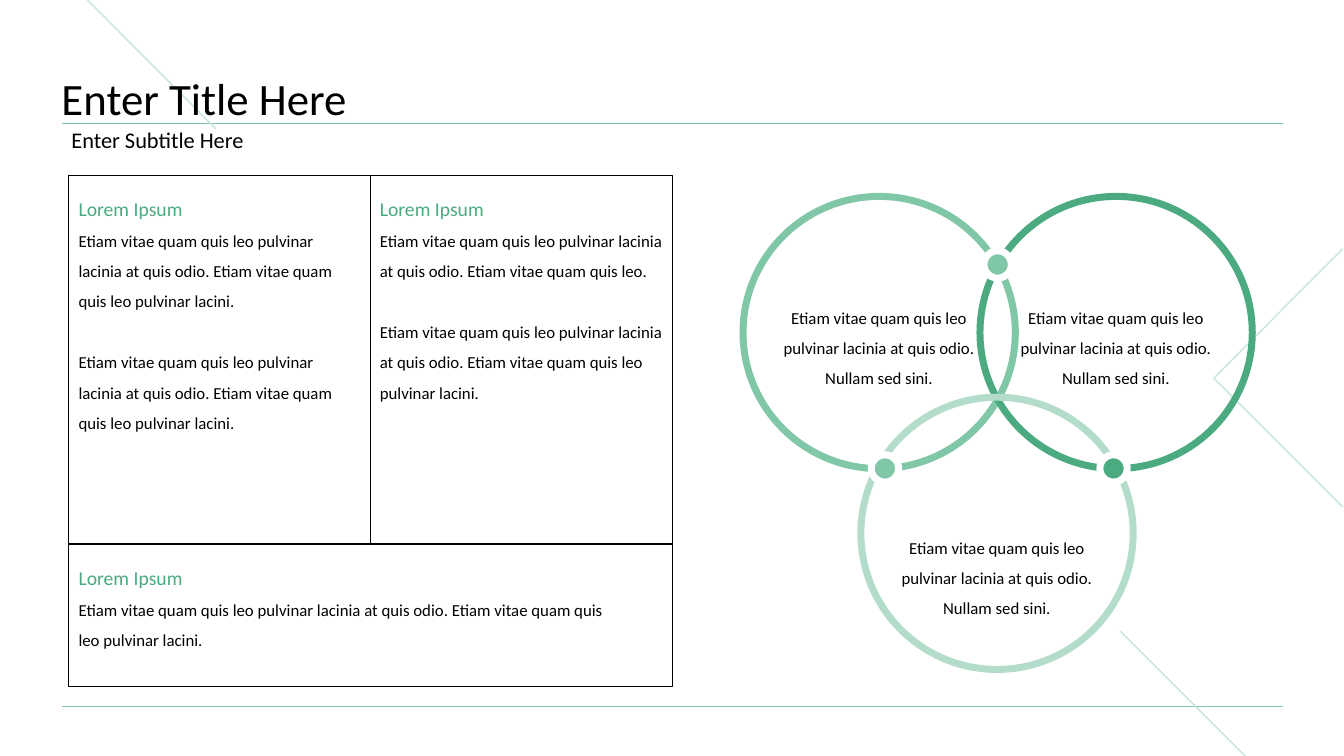
from lxml import etree
from pptx import Presentation, util as u
from pptx.dml.color import RGBColor
from pptx.enum import shapes, text
from pptx.oxml import ns

COLORS = {
    "black": "000000", "white": "FFFFFF", "dark": "4BAA7F",
    "medium": "80C7A7", "light": "B3DDCA", "pale": "C6E6D7",
}
FONT = "Calibri"
HEADING = "Lorem Ipsum"
SENTENCE = "Etiam vitae quam quis leo pulvinar lacinia at quis odio. "
LONG = SENTENCE + "Etiam vitae quam quis leo pulvinar lacini."
SHORT = SENTENCE + "Etiam vitae quam quis leo."
CIRCLE_TEXT = SENTENCE + "Nullam sed sini."
BLANK_LINE = 22  # height of one 12 pt line at 1.5 spacing


def color(name):
    return RGBColor.from_string(COLORS[name])


def apply(target, values):
    for name, value in values.items():
        setattr(target, name, value)


def set_line(shape, name, width):
    shape.line.color.rgb = color(name)
    shape.line.width = u.Pt(width)


def add_line(slide, start, end, name, width):
    points = [u.Cm(value) for value in (*start, *end)]
    line = slide.shapes.add_connector(shapes.MSO_CONNECTOR.STRAIGHT, *points)
    set_line(line, name, width)
    etree.SubElement(line._element.spPr, ns.qn("a:effectLst"))


def add_chevron(slide, points, name, width):
    start, *rest = [(u.Cm(x), u.Cm(y)) for x, y in points]
    builder = slide.shapes.build_freeform(*start)
    builder.add_line_segments(rest, close=False)
    shape = builder.convert_to_shape()
    shape.shadow.inherit = False
    shape.fill.background()
    set_line(shape, name, width)


def add_shape(slide, kind, box, line, width, fill=None):
    shape = slide.shapes.add_shape(kind, *[u.Cm(value) for value in box])
    shape.shadow.inherit = False
    if fill:
        shape.fill.solid()
        shape.fill.fore_color.rgb = color(fill)
    else:
        shape.fill.background()
    set_line(shape, line, width)
    return shape


def write(frame, lines, inset=(0.25, 0.13), anchor=text.MSO_ANCHOR.TOP, **layout):
    """Fill a frame with lines of (words, size, colour, space before)."""
    side, edge = [u.Cm(value) for value in inset]
    apply(frame, {"word_wrap": True, "vertical_anchor": anchor,
                  "margin_left": side, "margin_right": side,
                  "margin_top": edge, "margin_bottom": edge})
    for index, (words, size, name, before) in enumerate(lines):
        paragraph = frame.add_paragraph() if index else frame.paragraphs[0]
        paragraph.text = words
        apply(paragraph, {"alignment": text.PP_ALIGN.LEFT, "line_spacing": 1.5,
                          "space_before": u.Pt(before), **layout})
        apply(paragraph.font, {"name": FONT, "size": u.Pt(size)})
        paragraph.font.color.rgb = color(name)


def add_text(slide, box, words, size, **layout):
    shape = slide.shapes.add_textbox(*[u.Cm(value) for value in box])
    write(shape.text_frame, [(words, size, "black", 0)], **layout)


def add_panel(slide, box, body):
    """Draw a framed panel with a green heading over its body lines."""
    panel = add_shape(slide, shapes.MSO_SHAPE.RECTANGLE, box, "black", 0.75, "white")
    lines = [(HEADING, 14, "dark", 0)]
    lines += [(words, 12, "black", before) for words, before in body]
    write(panel.text_frame, lines, inset=(0.25, 0.25))


def main():
    presentation = Presentation()
    presentation.slide_width, presentation.slide_height = u.Cm(33.86), u.Cm(19.05)
    slide = presentation.slides.add_slide(presentation.slide_layouts[6])

    # Rules and background decoration
    for y in (17.81, 3.12):
        add_line(slide, (1.55, y), (32.33, y), "medium", 0.5)
    add_line(slide, (28.22, 15.9), (31.37, 19.05), "pale", 1)
    add_line(slide, (2.2, 0), (5.44, 3.25), "pale", 1)
    add_chevron(slide, [(33.83, 6.27), (30.58, 9.53), (33.83, 12.78)], "pale", 1)

    # Title and subtitle
    add_text(slide, (1.55, 1.12, 30.78, 2.03), "Enter Title Here", 32,
             inset=(0, 0), anchor=text.MSO_ANCHOR.BOTTOM, line_spacing=0.9)
    add_text(slide, (1.55, 3.12, 30.78, 0.86), "Enter Subtitle Here", 16,
             anchor=text.MSO_ANCHOR.MIDDLE, line_spacing=0.9)

    # Text panels
    add_panel(slide, (9.32, 4.42, 7.62, 9.27), [(SHORT, 0), (LONG, BLANK_LINE)])
    add_panel(slide, (1.73, 4.42, 7.6, 9.27), [(LONG, 0), (LONG, BLANK_LINE)])
    add_panel(slide, (1.73, 13.72, 15.21, 3.58),
              [(SENTENCE + "Etiam vitae quam quis", 0), ("leo pulvinar lacini.", 0)])

    # Overlapping circles, their joints and labels
    oval = shapes.MSO_SHAPE.OVAL
    circles = [(18.72, 4.95, "medium", 2.41), (24.69, 4.95, "dark", 2.41),
               (21.69, 10.01, "light", 3.15)]
    for left, top, name, _ in circles:
        add_shape(slide, oval, (left, top, 6.86, 6.86), name, 5)
    for left, top, name in [(21.95, 11.46, "medium"), (27.71, 11.46, "dark"),
                            (24.79, 6.32, "medium")]:
        add_shape(slide, oval, (left, top, 0.69, 0.69), "white", 5, name)
    for left, top, _, drop in circles:
        add_text(slide, (left + 0.76, top + drop, 5.33, 3.58), CIRCLE_TEXT, 12,
                 alignment=text.PP_ALIGN.CENTER)

    presentation.save("out.pptx")


if __name__ == "__main__":
    main()
